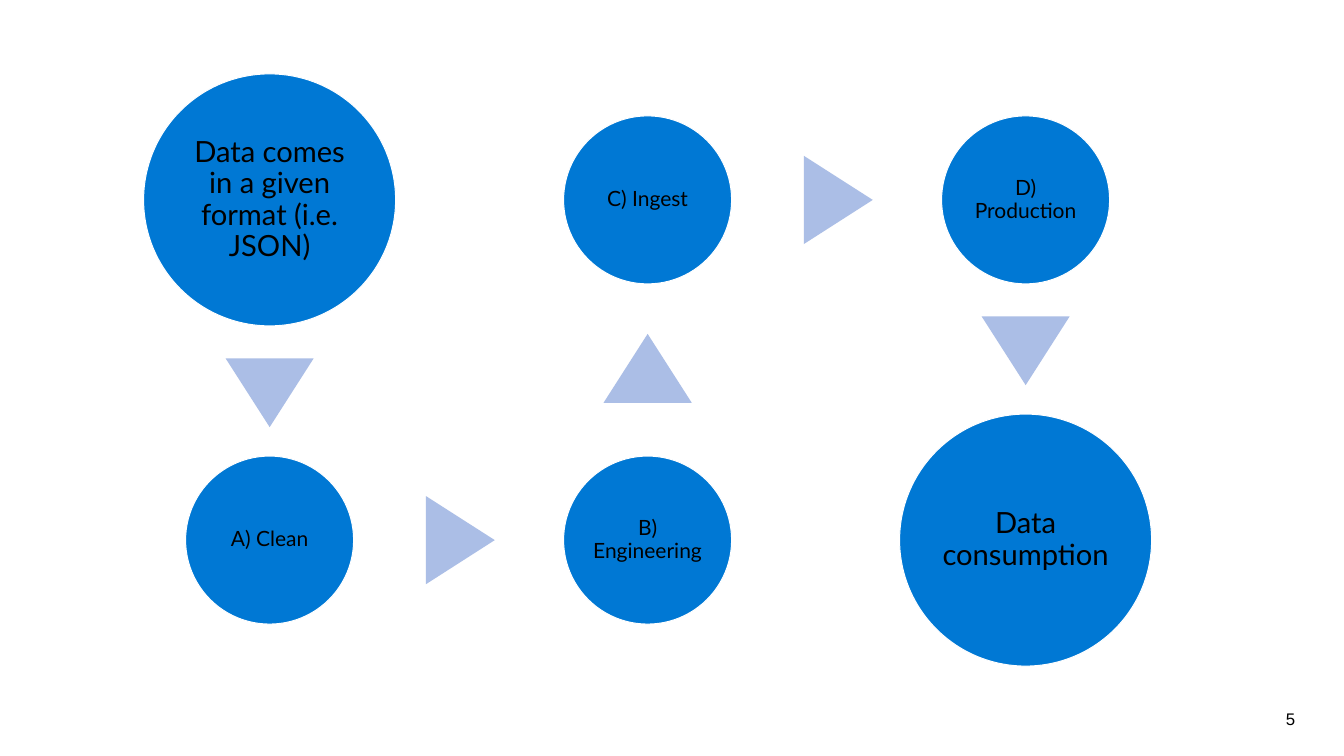
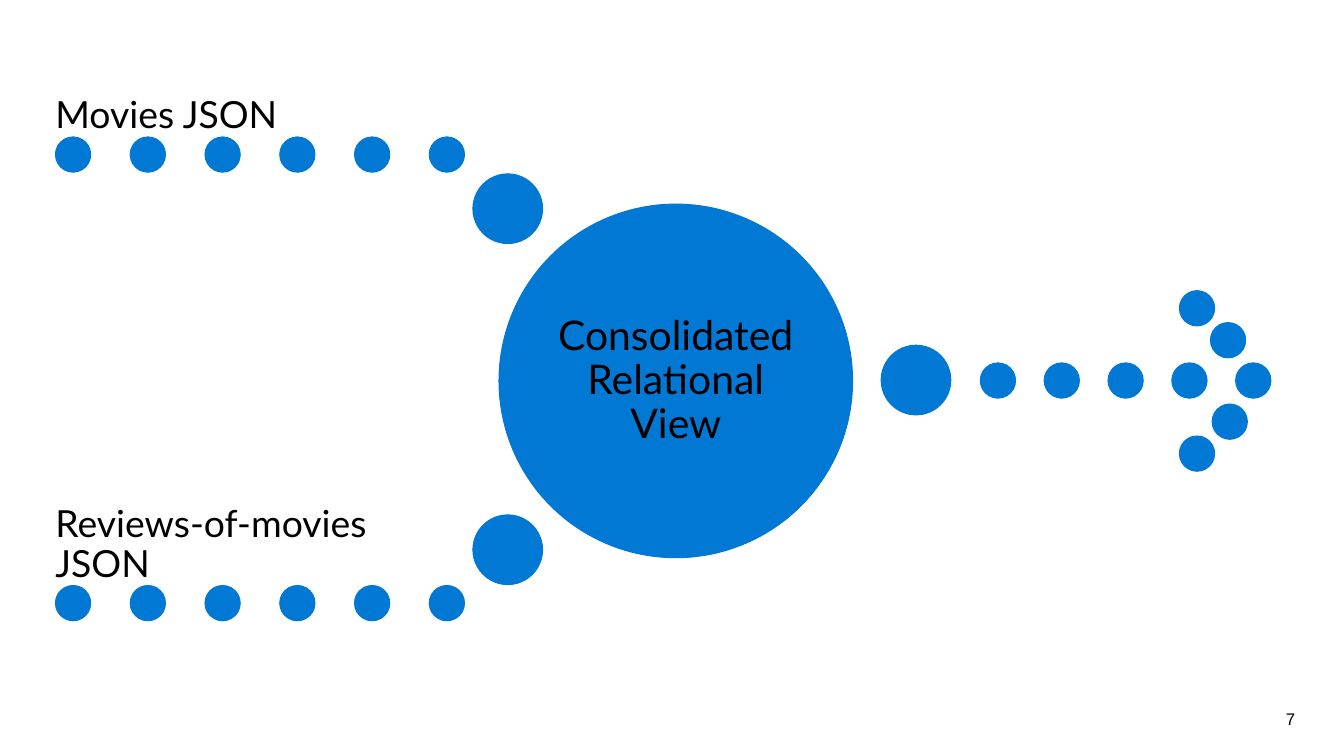
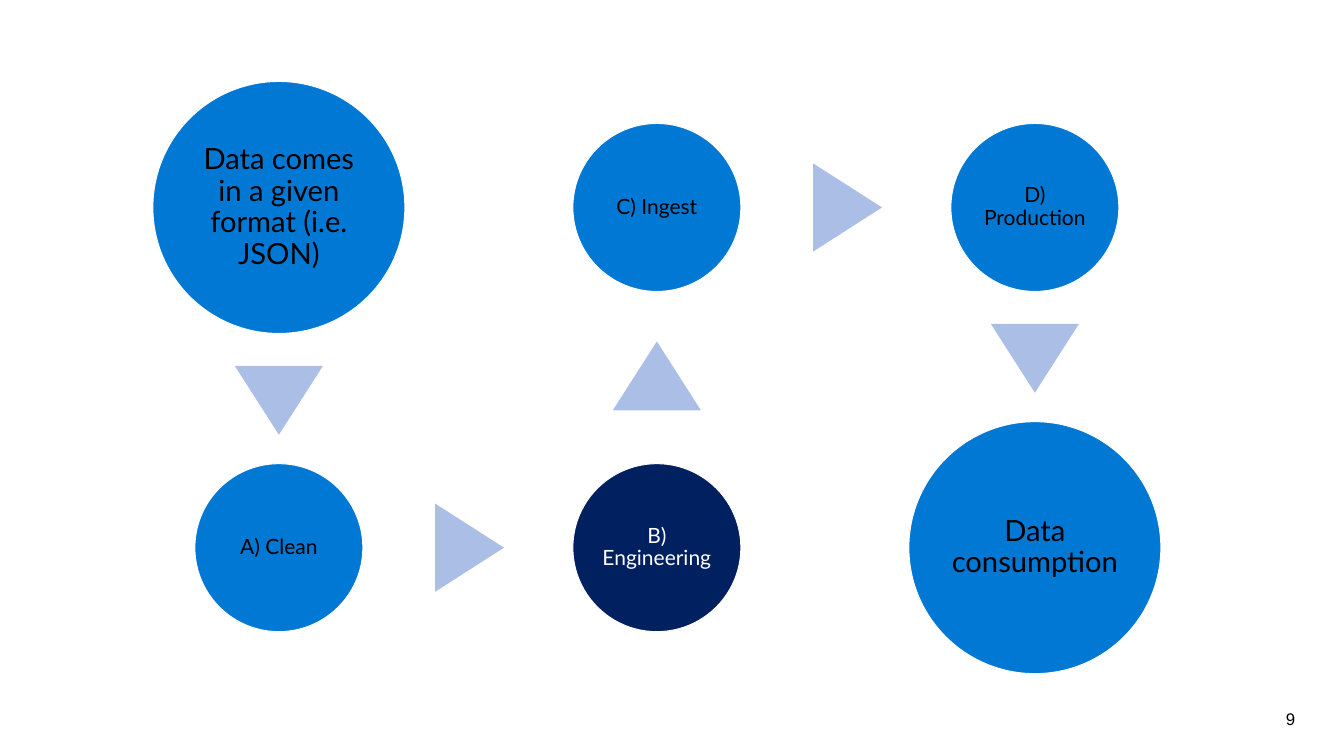
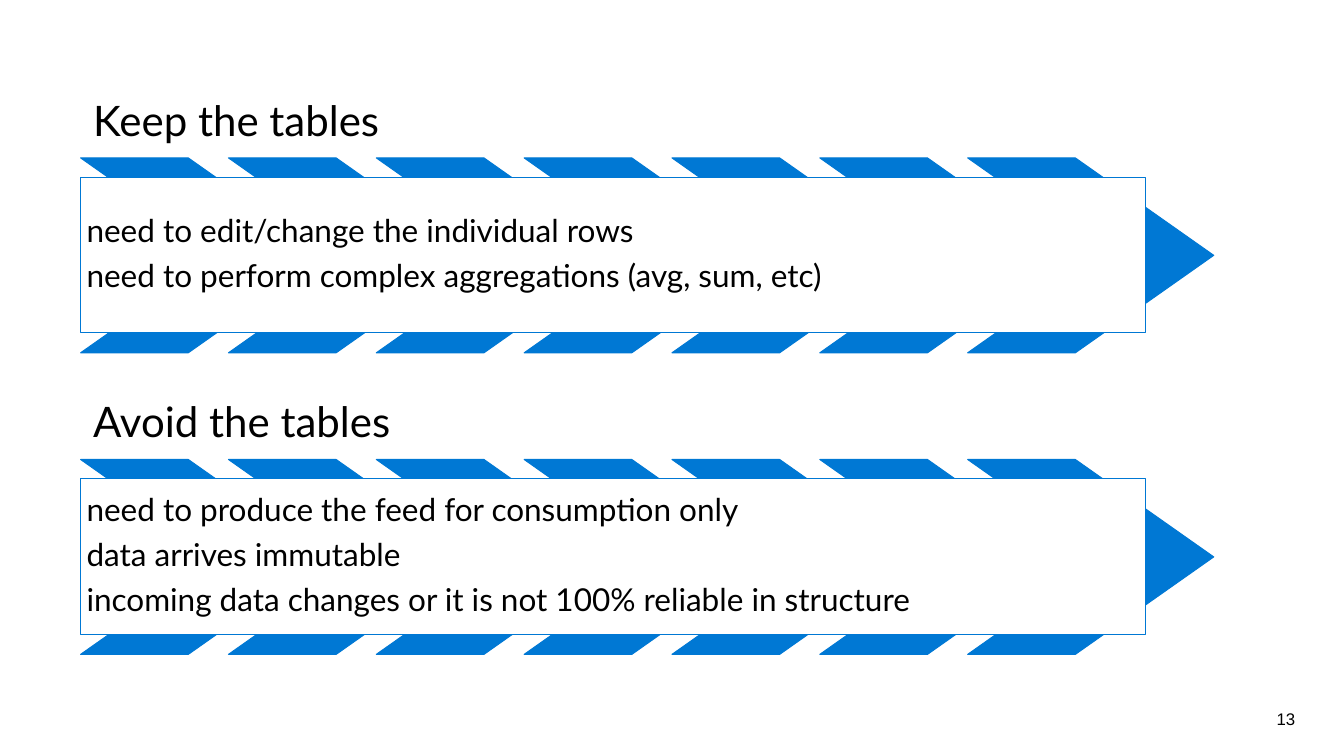
from dataclasses import dataclass
from itertools import pairwise
from math import atan2, degrees

from pptx import Presentation
from pptx.dml.color import RGBColor
from pptx.enum.shapes import MSO_SHAPE
from pptx.enum.text import MSO_ANCHOR, PP_ALIGN
from pptx.util import Inches, Pt

BLUE = RGBColor(0x00, 0x78, 0xD4)
NAVY = RGBColor(0x00, 0x20, 0x60)
PALE = RGBColor(0xAB, 0xBE, 0xE6)
WHITE = RGBColor(0xFF, 0xFF, 0xFF)
BLACK = RGBColor(0x00, 0x00, 0x00)

LINE_WIDTH = 0.85
BIG, SMALL = 3, 2
COL_GAP, ROW_GAP = 4.5, 4.05
ARROW_W, ARROW_H, ARROW_SHIFT = 1.05, 0.82, 0.02
DOT, LARGE_DOT = 0.42, 0.83
MARGIN = 0.96


@dataclass
class Step:
    label: str
    col: int
    row: int
    size: float = SMALL


@dataclass
class Feed:
    caption: str
    dots_y: float
    large_dot_y: float


@dataclass
class Panel:
    title: str
    top: float
    reasons: tuple[str, ...]


STEPS = (
    Step("Data comes in a given format (i.e. JSON)", 0, 0, BIG),
    Step("A) Clean", 0, 1),
    Step("B) Engineering", 1, 1),
    Step("C) Ingest", 1, 0),
    Step("D) Production", 2, 0),
    Step("Data consumption", 2, 1, BIG),
)
FEEDS = (
    Feed("Movies JSON", 1.63, 2.07),
    Feed("Reviews-of-movies JSON", 6.97, 6.13),
)
ARROWHEAD_DOTS = ((14.04, 3.46), (14.41, 3.84), (14.43, 4.81), (14.04, 5.19))
PANELS = (
    Panel("Keep the tables", 0.74, (
        "need to edit/change the individual rows",
        "need to perform complex aggregations (avg, sum, etc)",
    )),
    Panel("Avoid the tables", 4.33, (
        "need to produce the feed for consumption only",
        "data arrives immutable",
        "incoming data changes or it is not 100% reliable in structure",
    )),
)


def write(sp, *lines: str, size: float, color=BLACK, font="Lato",
          align=PP_ALIGN.LEFT, anchor=MSO_ANCHOR.MIDDLE,
          inset=(0.0, 0.0), spacing=0.9, after=0.35) -> None:
    """Fill a shape with one paragraph per line; inset is (sides, top and bottom)."""
    tf = sp.text_frame
    tf.word_wrap = True
    tf.vertical_anchor = anchor
    tf.margin_left = tf.margin_right = Inches(inset[0])
    tf.margin_top = tf.margin_bottom = Inches(inset[1])
    for i, line in enumerate(lines):
        p = tf.add_paragraph() if i else tf.paragraphs[0]
        p.alignment = align
        p.line_spacing = spacing
        p.space_after = Pt(size * after)
        r = p.add_run()
        r.text = line
        r.font.size = Pt(size)
        r.font.name = font
        r.font.color.rgb = color


def add_box(s, x: float, y: float, w: float, h: float):
    return s.shapes.add_textbox(Inches(x), Inches(y), Inches(w), Inches(h))


def add_shape(s, kind, x: float, y: float, w: float, h: float, fill=BLUE, line=BLUE):
    sp = s.shapes.add_shape(kind, Inches(x), Inches(y), Inches(w), Inches(h))
    sp.shadow.inherit = False
    sp.fill.solid()
    sp.fill.fore_color.rgb = fill
    if line is None:
        sp.line.fill.background()
    else:
        sp.line.color.rgb = line
        sp.line.width = Pt(LINE_WIDTH)
    return sp


def add_circle(s, x: float, y: float, size: float, fill=BLUE, line=BLUE):
    return add_shape(s, MSO_SHAPE.OVAL, x, y, size, size, fill, line)


def new_slide(prs, number: int):
    s = prs.slides.add_slide(prs.slide_layouts[6])
    write(add_box(s, 14.81, 8.32, 0.73, 0.48), str(number), size=14.4, font="Arial",
          align=PP_ALIGN.RIGHT, inset=(0.12, 0.06), spacing=1.0, after=0)
    return s


def add_flow_arrow(s, x: float, y: float, start: Step, end: Step) -> None:
    """Place a triangle midway between the facing edges of two steps."""
    dx, dy = end.col - start.col, end.row - start.row
    shift = (start.size - end.size) / 4 + ARROW_SHIFT
    cx = x + (start.col + end.col) / 2 * COL_GAP + dx * shift
    cy = y + (start.row + end.row) / 2 * ROW_GAP + dy * shift
    sp = add_shape(s, MSO_SHAPE.ISOSCELES_TRIANGLE, cx - ARROW_W / 2, cy - ARROW_H / 2,
                   ARROW_W, ARROW_H, PALE, None)
    sp.rotation = degrees(atan2(dx, -dy))


def flow_slide(prs, number: int, x: float, y: float, active: str = "") -> None:
    """Draw the steps with the first circle centred on x, y."""
    s = new_slide(prs, number)
    for step in STEPS:
        is_active = step.label == active
        sp = add_circle(s, x + step.col * COL_GAP - step.size / 2,
                        y + step.row * ROW_GAP - step.size / 2, step.size,
                        NAVY if is_active else BLUE, WHITE)
        write(sp, step.label, size=25 if step.size == BIG else 18,
              color=WHITE if is_active else BLACK,
              align=PP_ALIGN.CENTER, inset=(0.03, 0.03))
    for start, end in pairwise(STEPS):
        add_flow_arrow(s, x, y, start, end)


def view_slide(prs, number: int) -> None:
    s = new_slide(prs, number)
    for feed in FEEDS:
        write(add_box(s, 0.66, feed.dots_y - 1.07, 4.87, 1.07), feed.caption,
              size=32, anchor=MSO_ANCHOR.BOTTOM)
        for i in range(6):
            add_circle(s, 0.66 + i * 0.89, feed.dots_y, DOT)
        add_circle(s, 5.63, feed.large_dot_y, LARGE_DOT)

    view = add_circle(s, 5.94, 2.43, 4.21)
    write(view, "Consolidated Relational View", size=35,
          align=PP_ALIGN.CENTER, inset=(0.05, 0.05))

    add_circle(s, 10.49, 4.11, LARGE_DOT)
    for i in range(5):
        add_circle(s, 11.67 + i * 0.76, 4.32, DOT)
    for x, y in ARROWHEAD_DOTS:
        add_circle(s, x, y, DOT)


def tables_slide(prs, number: int) -> None:
    s = new_slide(prs, number)
    for panel in PANELS:
        write(add_box(s, MARGIN, panel.top, 12.52, 1.14), panel.title, size=36,
              anchor=MSO_ANCHOR.BOTTOM, inset=(0.15, 0.15))
        for i in range(7):
            chevron = add_shape(s, MSO_SHAPE.CHEVRON, MARGIN + i * 1.76,
                                panel.top + 1.14, 2.93, 2.32)
            chevron.adjustments[0] = 0.71
        card = add_shape(s, MSO_SHAPE.RECTANGLE, MARGIN, panel.top + 1.37,
                         12.68, 1.85, WHITE)
        write(card, *panel.reasons, size=27, inset=(0.07, 0.07))


def main() -> None:
    prs = Presentation()
    prs.slide_width, prs.slide_height = Inches(16), Inches(9)
    flow_slide(prs, 5, 3.21, 2.38)
    view_slide(prs, 7)
    flow_slide(prs, 9, 3.32, 2.47, active="B) Engineering")
    tables_slide(prs, 13)
    prs.save("out.pptx")


if __name__ == "__main__":
    main()
